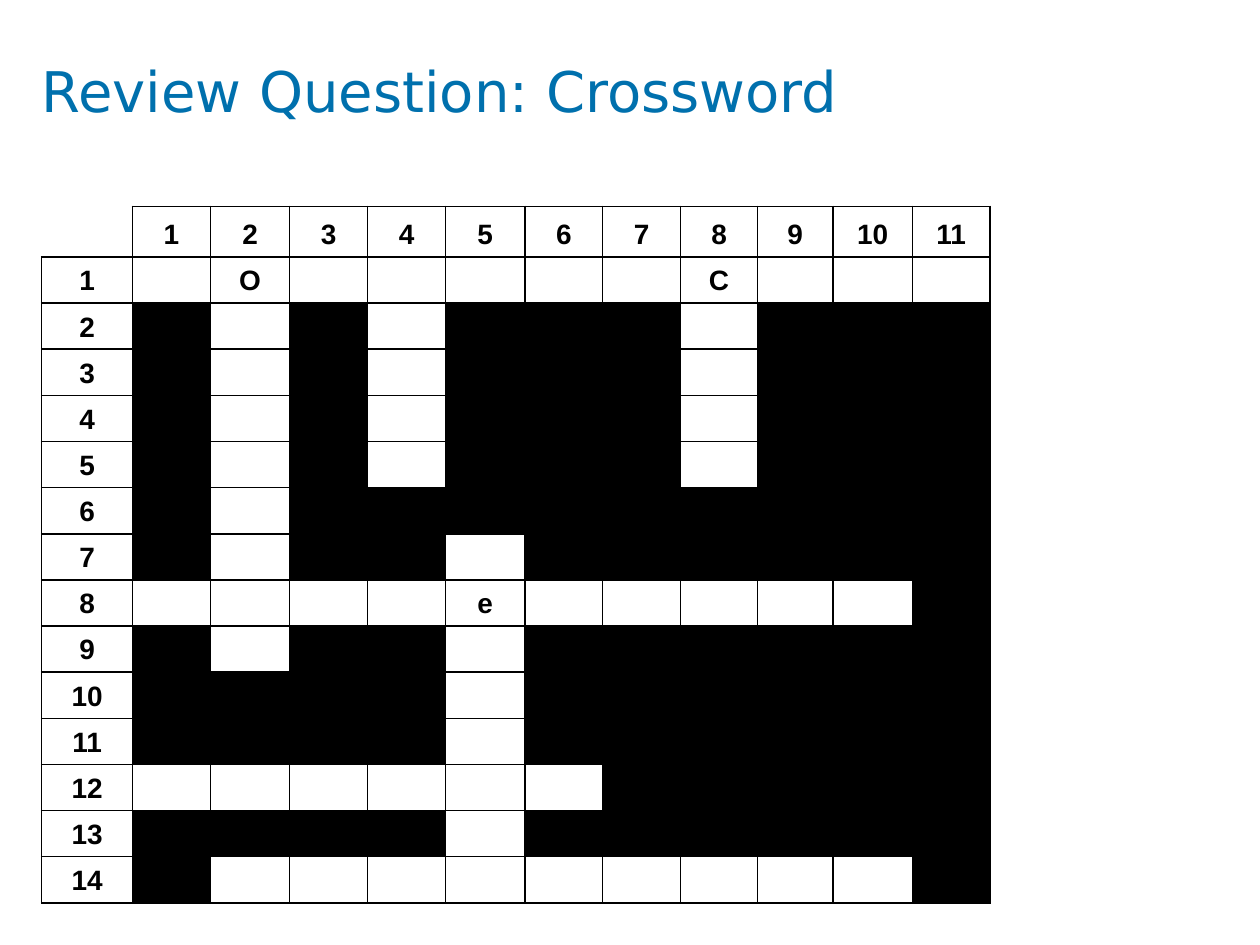
import pptx
import pptx.dml.color
import pptx.enum.text
import pptx.oxml
import pptx.oxml.ns
import pptx.util

Cm = pptx.util.Cm
Pt = pptx.util.Pt
ANCHOR = pptx.enum.text.MSO_ANCHOR
ALIGN = pptx.enum.text.PP_ALIGN


def tint(code):
    return pptx.dml.color.RGBColor.from_string(code)


def write(para, text, font="Arial", size=16, color="000000", bold=False, align=ALIGN.LEFT):
    para.alignment = align
    run = para.add_run()
    run.text = text
    run.font.name = font
    run.font.size = Pt(size)
    run.font.bold = bold
    run.font.color.rgb = tint(color)


deck = pptx.Presentation()
deck.slide_width = Cm(25.4)
deck.slide_height = Cm(19.05)
slide = deck.slides.add_slide(deck.slide_layouts[5])

title = slide.shapes.title
title.left, title.top, title.width, title.height = Cm(0.84), Cm(1.14), Cm(23.7), Cm(2.39)
frame = title.text_frame
frame.margin_left = frame.margin_right = frame.margin_top = frame.margin_bottom = 0
frame.vertical_anchor = ANCHOR.TOP
frame.word_wrap = True
frame.auto_size = pptx.enum.text.MSO_AUTO_SIZE.NONE
write(frame.paragraphs[0], "Review Question: Crossword", font="DejaVu Sans", size=32, color="0070AD")

grid = [
    "...........",
    "#.#.###.###",
    "#.#.###.###",
    "#.#.###.###",
    "#.#.###.###",
    "#.#########",
    "#.##.######",
    "..........#",
    "#.##.######",
    "####.######",
    "####.######",
    "......#####",
    "####.######",
    "#.........#",
]
clues = {(1, 2): "O", (1, 8): "C", (8, 5): "e"}
wide = [1.83, 1.57, 1.6, 1.57, 1.57, 1.6, 1.57, 1.57, 1.55, 1.52, 1.6, 1.57]
high = [1.02] + [0.93] * len(grid)

shape = slide.shapes.add_table(len(high), len(wide), Cm(0.84), Cm(4.16), Cm(sum(wide)), Cm(sum(high)))
table = shape.table
table.first_row = False
table.horz_banding = False
for col, size in zip(table.columns, wide):
    col.width = Cm(size)
for row, size in zip(table.rows, high):
    row.height = Cm(size)

space = pptx.oxml.ns.nsdecls("a")
for r in range(len(high)):
    for c in range(len(wide)):
        cell = table.cell(r, c)
        black = r > 0 and c > 0 and grid[r - 1][c - 1] == "#"
        cell.fill.solid()
        cell.fill.fore_color.rgb = tint("000000" if black else "FFFFFF")
        cell.vertical_anchor = ANCHOR.BOTTOM
        if r == 0 or c == 0:
            text = str(r + c) if r + c else ""
        else:
            text = clues.get((r, c), "")
        if text:
            para = cell.text_frame.paragraphs[0]
            write(para, text, bold=True, align=ALIGN.CENTER)
            props = para._p.get_or_add_pPr()
            props.set("marL", str(Cm(0.81)))
            props.set("indent", str(-Cm(0.81)))
        else:
            cell.margin_top = cell.margin_bottom = 0
        sides = "LRTB" if r + c else "RB"
        for spot, side in enumerate(sides):
            line = pptx.oxml.parse_xml(
                f'<a:ln{side} {space} w="{Pt(1)}"><a:solidFill>'
                f'<a:srgbClr val="000000"/></a:solidFill></a:ln{side}>'
            )
            cell._tc.get_or_add_tcPr().insert(spot, line)

deck.save("out.pptx")
